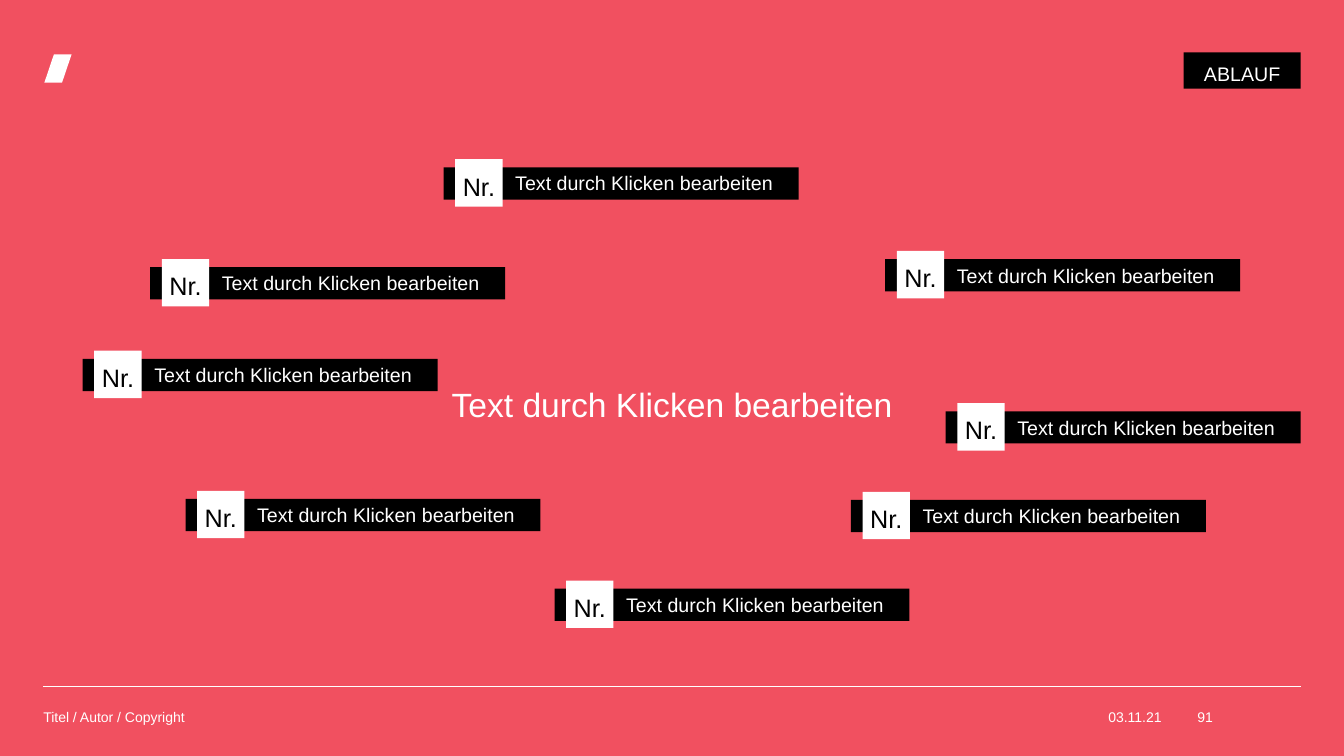
from lxml import etree
from pptx import Presentation
from pptx.dml.color import RGBColor
from pptx.enum import shapes, text
from pptx.oxml.ns import qn
from pptx.util import Inches, Pt

COLORS = {"background": "F15060", "dark": "000000", "light": "FFFFFF"}
FONT = "Arial"
PROMPT = "Text durch Klicken bearbeiten"
TOP, MIDDLE, BOTTOM = (text.MSO_ANCHOR.TOP, text.MSO_ANCHOR.MIDDLE,
                       text.MSO_ANCHOR.BOTTOM)
LEFT, CENTER, RIGHT = text.PP_ALIGN.LEFT, text.PP_ALIGN.CENTER, text.PP_ALIGN.RIGHT

# Left and top of each step's bar, and the anchor of its text, clockwise
STEPS = [
    (4.4, 1.66, TOP), (8.78, 2.57, BOTTOM), (9.38, 4.08, BOTTOM),
    (8.44, 4.96, TOP), (5.5, 5.84, BOTTOM), (1.84, 4.95, TOP),
    (0.82, 3.56, TOP), (1.49, 2.65, TOP),
]


def rgb(name):
    return RGBColor.from_string(COLORS[name])


def write(shape, wording, size, color="light", align=LEFT, anchor=MIDDLE,
          insets=(0, 0, 0, 0), after=0, spacing=None, grow=False):
    """Set one paragraph; a growing shape keeps it on a single line."""
    frame = shape.text_frame
    frame.word_wrap = not grow
    if grow:
        frame.auto_size = text.MSO_AUTO_SIZE.SHAPE_TO_FIT_TEXT
    frame.vertical_anchor = anchor
    (frame.margin_left, frame.margin_top,
     frame.margin_right, frame.margin_bottom) = map(Inches, insets)
    paragraph = frame.paragraphs[0]
    paragraph.text = wording
    paragraph.alignment = align
    paragraph.space_after = Pt(after)
    if spacing:
        paragraph.line_spacing = spacing
    paragraph.font.name = FONT
    paragraph.font.size = Pt(size)
    paragraph.font.color.rgb = rgb(color)


def add_block(slide, box, color, preset=shapes.MSO_SHAPE.RECTANGLE):
    block = slide.shapes.add_shape(preset, *map(Inches, box))
    block.shadow.inherit = False
    block.fill.solid()
    block.fill.fore_color.rgb = rgb(color)
    block.line.fill.background()
    return block


def add_text(slide, box, wording, size, **style):
    write(slide.shapes.add_textbox(*map(Inches, box)), wording, size, **style)


def add_header(slide, left, top, right):
    mark = add_block(slide, (left, top + 0.02, 0.27, 0.28), "light",
                     shapes.MSO_SHAPE.PARALLELOGRAM)
    mark.adjustments[0] = 0.35
    width = 1.16
    tag = add_block(slide, (right - width, top, width, 0.36), "dark")
    write(tag, "ABLAUF", 14, align=RIGHT, anchor=TOP,
          insets=(0.2, 0.05, 0.2, 0.05), after=10, spacing=1.2, grow=True)


def add_footer(slide, left, top, right):
    rule = slide.shapes.add_connector(
        shapes.MSO_CONNECTOR.STRAIGHT,
        Inches(left), Inches(top), Inches(right), Inches(top))
    rule.line.color.rgb = rgb("light")
    rule.line.width = Pt(0.5)
    etree.SubElement(rule._element.spPr, qn("a:effectLst"))
    for x, width, wording, align in [
        (10.77, 0.75, "03.11.21", RIGHT),
        (left, 6.07, "Titel / Autor / Copyright", LEFT),
        (11.72, 0.31, "91", RIGHT),
    ]:
        add_text(slide, (x, top + 0.11, width, 0.39), wording, 10, align=align)


def add_step(slide, left, top, anchor):
    """Draw a bar with its number tile, which overlaps it above and below."""
    bar = add_block(slide, (left, top, 3.52, 0.32), "dark")
    write(bar, PROMPT, 14, anchor=anchor, insets=(0.71, 0.04, 0.16, 0.04),
          after=4, grow=True)
    tile = add_block(slide, (left + 0.115, top - 0.08, 0.47, 0.47), "light")
    write(tile, "Nr.", 18, color="dark", align=CENTER, after=4, spacing=1.2)


def add_cycle(slide, center_box):
    add_text(slide, center_box, PROMPT, 24, align=CENTER,
             insets=(0.16,) * 4, after=4)
    for left, top, anchor in STEPS:
        add_step(slide, left, top, anchor)


def main():
    deck = Presentation()
    deck.slide_width, deck.slide_height = Inches(13.33), Inches(7.5)
    slide = deck.slides.add_slide(deck.slide_layouts[6])
    slide.background.fill.solid()
    slide.background.fill.fore_color.rgb = rgb("background")
    add_footer(slide, 0.43, 6.81, 12.9)
    add_cycle(slide, (3.71, 2.13, 5.91, 3.76))
    add_header(slide, 0.44, 0.52, 12.9)
    deck.save("out.pptx")


if __name__ == "__main__":
    main()
